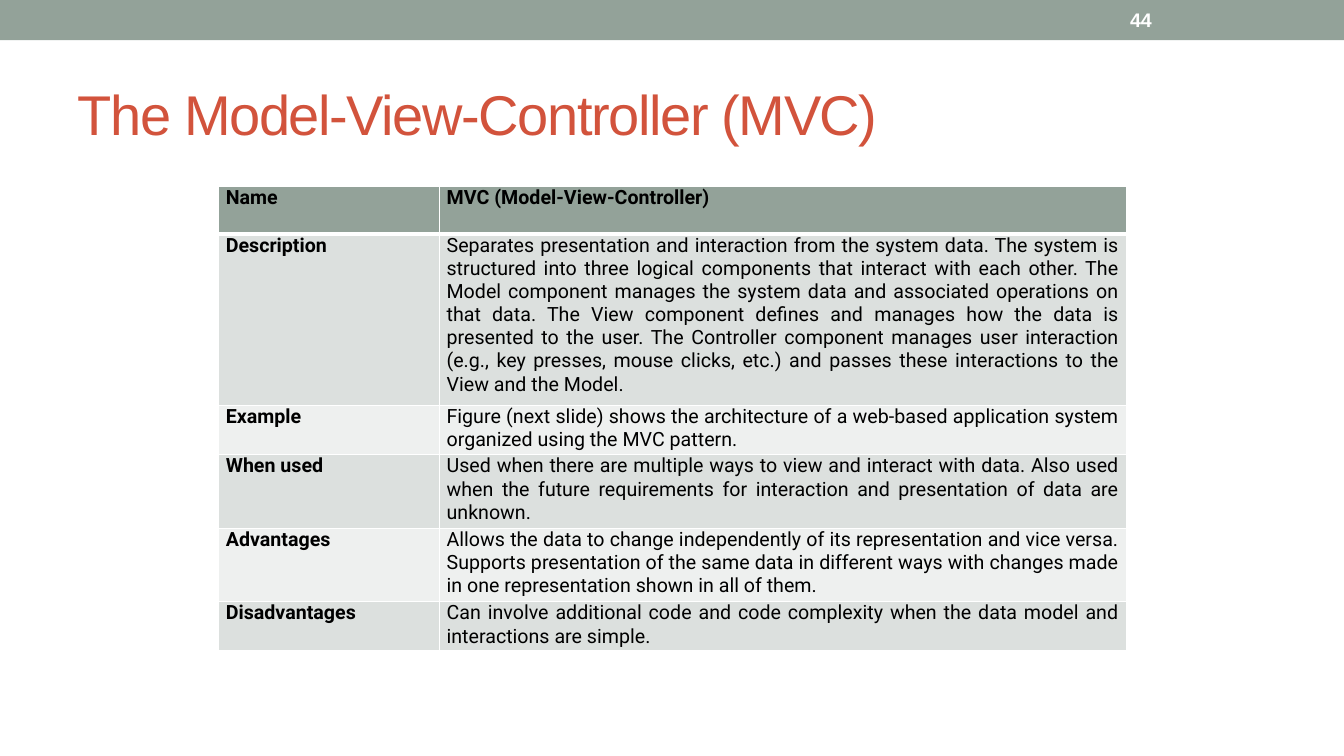
from dataclasses import dataclass

from lxml import etree
from pptx import Presentation
from pptx import util as u
from pptx.dml.color import RGBColor
from pptx.enum import shapes, text
from pptx.oxml import ns

SCALE = 9144
COLORS = {
    "sage": "93A299",
    "dark": "DCE0DE",
    "light": "EEF0EF",
    "rust": "D2533C",
    "white": "FFFFFF",
    "black": "000000",
}


@dataclass(frozen=True)
class Row:
    label: str
    body: str
    height: int


ROWS = [
    Row("Name", "MVC (Model-View-Controller)", 47),
    Row(
        "Description",
        "Separates presentation and interaction from the system data. The system is "
        "structured into three logical components that interact with each other. The "
        "Model component manages the system data and associated operations on that "
        "data. The View component defines and manages how the data is presented to "
        "the user. The Controller component manages user interaction (e.g., key "
        "presses, mouse clicks, etc.) and passes these interactions to the View and "
        "the Model.",
        170,
    ),
    Row(
        "Example",
        "Figure (next slide) shows the architecture of a web-based application system "
        "organized using the MVC pattern.",
        49,
    ),
    Row(
        "When used",
        "Used when there are multiple ways to view and interact with data. Also used "
        "when the future requirements for interaction and presentation of data are "
        "unknown.",
        73,
    ),
    Row(
        "Advantages",
        "Allows the data to change independently of its representation and vice versa. "
        "Supports presentation of the same data in different ways with changes made "
        "in one representation shown in all of them.",
        73,
    ),
    Row(
        "Disadvantages",
        "Can involve additional code and code complexity when the data model and "
        "interactions are simple.",
        49,
    ),
]
COLUMNS = [219, 681]


def px(count: int) -> u.Emu:
    return u.Emu(count * SCALE)


def color(name: str) -> RGBColor:
    return RGBColor.from_string(COLORS[name])


def style(para, face: str, size: int, tint: str, bold: bool = False) -> None:
    para.font.name = face
    para.font.size = u.Pt(size)
    para.font.bold = bold
    para.font.color.rgb = color(tint)


def edge(cell, side: str, points: int) -> None:
    props = cell._tc.get_or_add_tcPr()
    line = etree.SubElement(props, ns.qn(f"a:ln{side}"), w=str(u.Pt(points)))
    fill = etree.SubElement(line, ns.qn("a:solidFill"))
    etree.SubElement(fill, ns.qn("a:srgbClr"), val=COLORS["white"])


def draw_bar(slide) -> None:
    bar = slide.shapes.add_shape(
        shapes.MSO_SHAPE.RECTANGLE, 0, 0, px(1333), px(40)
    )
    bar.shadow.inherit = False
    bar.fill.solid()
    bar.fill.fore_color.rgb = color("sage")
    bar.line.fill.background()


def draw_title(slide) -> None:
    title = slide.shapes.title
    title.left, title.top, title.width, title.height = map(px, (67, 58, 1200, 108))
    frame = title.text_frame
    frame.text = "The Model-View-Controller (MVC)"
    frame.auto_size = text.MSO_AUTO_SIZE.NONE
    frame.vertical_anchor = text.MSO_ANCHOR.MIDDLE
    para = frame.paragraphs[0]
    para.alignment = text.PP_ALIGN.LEFT
    style(para, "Arial", 40, "rust")
    para.runs[0].font._element.set("spc", "-100")


def draw_cell(cell, words: str, row: int, col: int) -> None:
    cell.text = words
    cell.margin_left = cell.margin_right = px(7)
    cell.margin_top = cell.margin_bottom = 0
    edge(cell, "L", 1)
    edge(cell, "R", 1)
    edge(cell, "T", 3 if row == 1 else 1)
    edge(cell, "B", 3 if row == 0 else 1)
    cell.fill.solid()
    band = "dark" if row % 2 else "light"
    cell.fill.fore_color.rgb = color(band if row else "sage")
    para = cell.text_frame.paragraphs[0]
    para.alignment = text.PP_ALIGN.JUSTIFY
    style(para, "Roboto", 14, "black", row == 0 or col == 0)


def draw_table(slide) -> None:
    height = sum(row.height for row in ROWS)
    table = slide.shapes.add_table(
        len(ROWS), len(COLUMNS), px(217), px(185), px(sum(COLUMNS)), px(height)
    ).table
    for col, width in enumerate(COLUMNS):
        table.columns[col].width = px(width)
    for index, row in enumerate(ROWS):
        table.rows[index].height = px(row.height)
        for col, words in enumerate((row.label, row.body)):
            draw_cell(table.cell(index, col), words, index, col)


def draw_number(slide) -> None:
    box = slide.shapes.add_textbox(px(1111), px(2), px(156), px(36))
    frame = box.text_frame
    frame.word_wrap = True
    frame.vertical_anchor = text.MSO_ANCHOR.MIDDLE
    frame.text = "44"
    style(frame.paragraphs[0], "Arial", 14, "white", True)


def main() -> None:
    deck = Presentation()
    deck.slide_width, deck.slide_height = px(1333), px(750)
    slide = deck.slides.add_slide(deck.slide_layouts.get_by_name("Title Only"))
    draw_bar(slide)
    draw_title(slide)
    draw_table(slide)
    draw_number(slide)
    deck.save("out.pptx")


if __name__ == "__main__":
    main()
